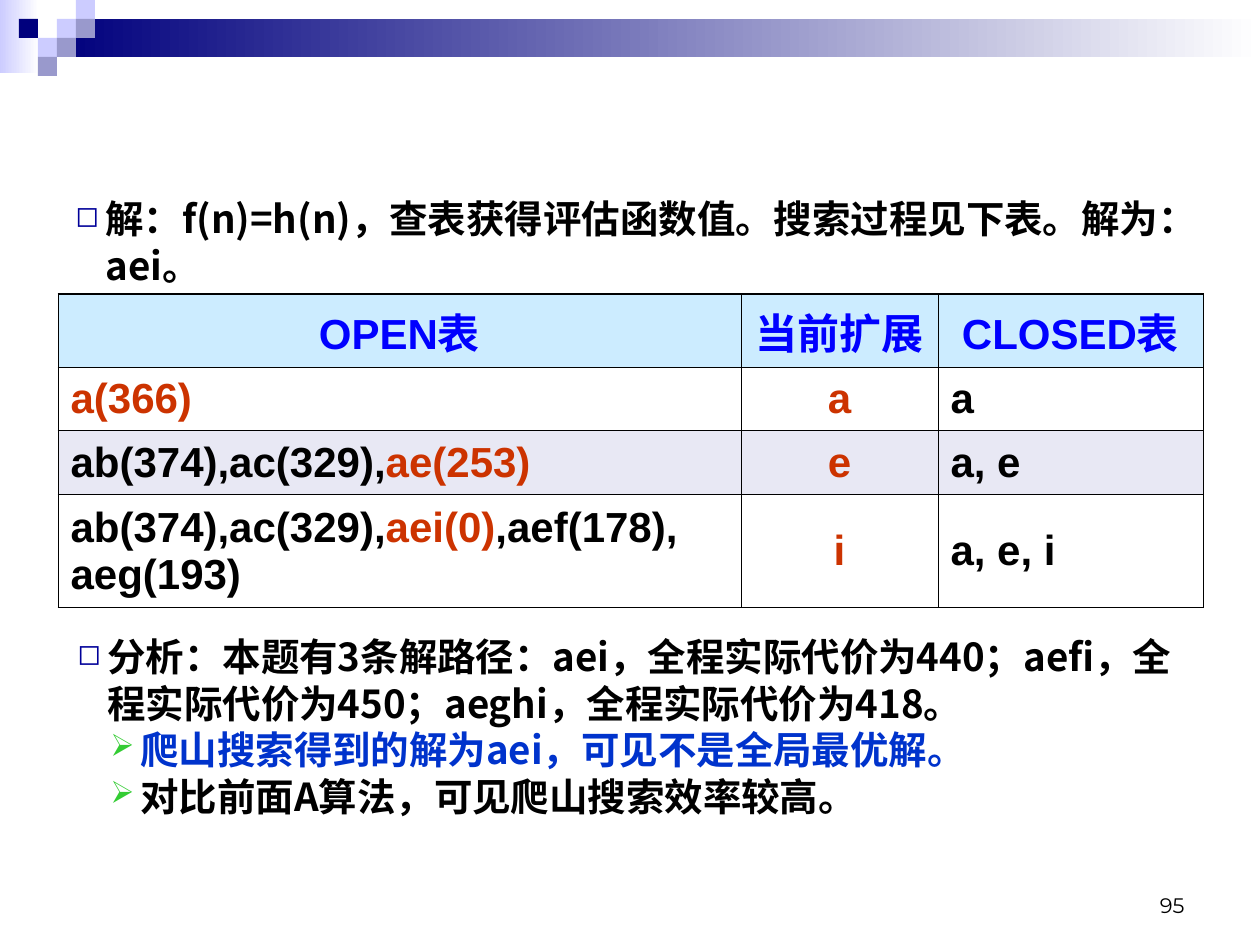
from lxml import etree
from pptx import Presentation
from pptx.dml.color import RGBColor
from pptx.enum.shapes import MSO_SHAPE
from pptx.enum.text import MSO_ANCHOR, PP_ALIGN
from pptx.oxml.ns import qn
from pptx.util import Pt

RECTANGLE = MSO_SHAPE.RECTANGLE
MIDDLE, BOTTOM = MSO_ANCHOR.MIDDLE, MSO_ANCHOR.BOTTOM
TOP = MSO_ANCHOR.TOP
LEFT, CENTER, RIGHT = PP_ALIGN.LEFT, PP_ALIGN.CENTER, PP_ALIGN.RIGHT

BLACK = RGBColor(0x00, 0x00, 0x00)
WHITE = RGBColor(0xFF, 0xFF, 0xFF)
NAVY = RGBColor(0x00, 0x00, 0x7D)
LAVENDER = RGBColor(0xCC, 0xCC, 0xFF)
PERIWINKLE = RGBColor(0x99, 0x99, 0xCC)
HEADER_BLUE = RGBColor(0x00, 0x00, 0xFF)
HEADER_FILL = RGBColor(0xCC, 0xEC, 0xFF)
BAND_FILL = RGBColor(0xE8, 0xE8, 0xF4)
RED = RGBColor(0xCC, 0x33, 0x00)
BLUE = RGBColor(0x00, 0x33, 0xCC)
BULLET_BLUE = RGBColor(0x00, 0x00, 0x99)
BULLET_GREEN = RGBColor(0x33, 0xCC, 0x33)

CJK_FONT, TABLE_FONT, NUMBER_FONT = "Noto Sans CJK SC", "Arial", "Montserrat"
HANGING = 30
LINE_PITCH = Pt(26.5)
SQUARE = 19

BANDS = [
    ((0, 0, 39, 73), LAVENDER),
    ((57, 19, 1203, 38), NAVY),
]
SQUARES = [
    (3, 1, LAVENDER), (4, 0, LAVENDER), (4, 1, PERIWINKLE), (2, 2, LAVENDER),
    (1, 1, NAVY), (3, 2, PERIWINKLE), (2, 3, PERIWINKLE),
]

TABLE_LEFT, TABLE_TOP = 58, 294
COLUMN_WIDTHS = [683, 197, 265]
ROW_HEIGHTS = [73, 63, 64, 113]
ROW_FILLS = [HEADER_FILL, None, BAND_FILL, None]
SEARCH_STEPS = [
    [[("OPEN表", HEADER_BLUE)], [("当前扩展", HEADER_BLUE)], [("CLOSED表", HEADER_BLUE)]],
    [[("a(366)", RED)], [("a", RED)], [("a", BLACK)]],
    [[("ab(374),ac(329),", BLACK), ("ae(253)", RED)], [("e", RED)], [("a, e", BLACK)]],
    [[("ab(374),ac(329),", BLACK), ("aei(0)", RED), (",aef(178), aeg(193)", BLACK)],
     [("i", RED)], [("a, e, i", BLACK)]],
]

MAIN_BULLET = ("◻", BULLET_BLUE, 75, 30)
SUB_BULLET = ("➢", BULLET_GREEN, 80, 63)
TEXT_BLOCKS = [
    ((63, 189, 1134, 106), [
        ("解：f(n)=h(n)，查表获得评估函数值。搜索过程见下表。解为：aei。", BLACK, MAIN_BULLET),
    ]),
    ((65, 627, 1129, 244), [
        ("分析：本题有3条解路径：aei，全程实际代价为440；aefi，全程实际代价为450；"
         "aeghi，全程实际代价为418。", BLACK, MAIN_BULLET),
        ("爬山搜索得到的解为aei，可见不是全局最优解。", BLUE, SUB_BULLET),
        ("对比前面A算法，可见爬山搜索效率较高。", BLACK, SUB_BULLET),
    ]),
]
PAGE_NUMBER = ((903, 861, 294, 63), "95")


def px(length):
    return round(length * 914400 / 126)


def add_rectangle(slide, box):
    shape = slide.shapes.add_shape(RECTANGLE, *map(px, box))
    shape.shadow.inherit = False
    shape.line.fill.background()
    return shape


def add_decoration(slide):
    for box, color in BANDS:
        fill = add_rectangle(slide, box).fill
        fill.gradient()
        fill.gradient_angle = 0
        for stop, stop_color in zip(fill.gradient_stops, (color, WHITE)):
            stop.color.rgb = stop_color
    for column, row, color in SQUARES:
        box = (column * SQUARE, row * SQUARE, SQUARE, SQUARE)
        fill = add_rectangle(slide, box).fill
        fill.solid()
        fill.fore_color.rgb = color


def add_run(paragraph, text, font_name, size, color, bold=True):
    run = paragraph.add_run()
    run.text = text
    run.font.name = font_name
    run.font.size = Pt(size)
    run.font.bold = bold
    run.font.color.rgb = color
    latin = run.font._element.find(qn("a:latin"))
    east_asian = etree.Element(qn("a:ea"), typeface=CJK_FONT)
    latin.addnext(east_asian)


def set_bullet(paragraph, symbol, color, percent, indent):
    properties = paragraph._p.get_or_add_pPr()
    properties.set("marL", str(px(indent)))
    properties.set("indent", str(-px(HANGING)))
    bullet_color = etree.SubElement(properties, qn("a:buClr"))
    etree.SubElement(bullet_color, qn("a:srgbClr"), val=str(color))
    etree.SubElement(properties, qn("a:buSzPct"), val=str(percent * 1000))
    etree.SubElement(properties, qn("a:buChar"), char=symbol)


def set_borders(cell, is_first, is_last):
    properties = cell._tc.get_or_add_tcPr()
    widths = {"lnL": 0.45, "lnR": 0.45,
              "lnT": 1.08 if is_first else 0.45, "lnB": 1.08 if is_last else 0.45}
    for position, (side, width) in enumerate(widths.items()):
        line = etree.Element(qn(f"a:{side}"), w=str(Pt(width)))
        fill = etree.SubElement(line, qn("a:solidFill"))
        etree.SubElement(fill, qn("a:srgbClr"), val=str(BLACK))
        properties.insert(position, line)


def add_search_table(slide):
    box = (TABLE_LEFT, TABLE_TOP, sum(COLUMN_WIDTHS), sum(ROW_HEIGHTS))
    table = slide.shapes.add_table(
        len(ROW_HEIGHTS), len(COLUMN_WIDTHS), *map(px, box)).table
    table.horz_banding = False
    for column, width in zip(table.columns, COLUMN_WIDTHS):
        column.width = px(width)
    for row_index, (height, fill, step) in enumerate(zip(ROW_HEIGHTS, ROW_FILLS, SEARCH_STEPS)):
        table.rows[row_index].height = px(height)
        for column_index, runs in enumerate(step):
            cell = table.cell(row_index, column_index)
            cell.vertical_anchor = MIDDLE
            if fill is None:
                cell.fill.background()
            else:
                cell.fill.solid()
                cell.fill.fore_color.rgb = fill
            set_borders(cell, row_index == 0, row_index == len(ROW_HEIGHTS) - 1)
            paragraph = cell.text_frame.paragraphs[0]
            paragraph.alignment = CENTER if row_index == 0 or column_index == 1 else LEFT
            for text, color in runs:
                add_run(paragraph, text, TABLE_FONT, 24, color)


def add_text_frame(slide, box, anchor):
    text_frame = slide.shapes.add_textbox(*map(px, box)).text_frame
    text_frame.word_wrap = True
    text_frame.vertical_anchor = anchor
    return text_frame


def add_texts(slide):
    for box, lines in TEXT_BLOCKS:
        text_frame = add_text_frame(slide, box, TOP)
        for index, (text, color, bullet) in enumerate(lines):
            paragraph = text_frame.add_paragraph() if index else text_frame.paragraphs[0]
            paragraph.level = 1 if bullet is SUB_BULLET else 0
            set_bullet(paragraph, *bullet)
            paragraph.line_spacing = LINE_PITCH
            add_run(paragraph, text, CJK_FONT, 22, color)
    box, number = PAGE_NUMBER
    paragraph = add_text_frame(slide, box, BOTTOM).paragraphs[0]
    paragraph.alignment = RIGHT
    add_run(paragraph, number, NUMBER_FONT, 12, BLACK, bold=False)


def main():
    presentation = Presentation()
    presentation.slide_width, presentation.slide_height = px(1260), px(945)
    slide = presentation.slides.add_slide(presentation.slide_layouts[6])
    add_decoration(slide)
    add_search_table(slide)
    add_texts(slide)
    presentation.save("out.pptx")


if __name__ == "__main__":
    main()
